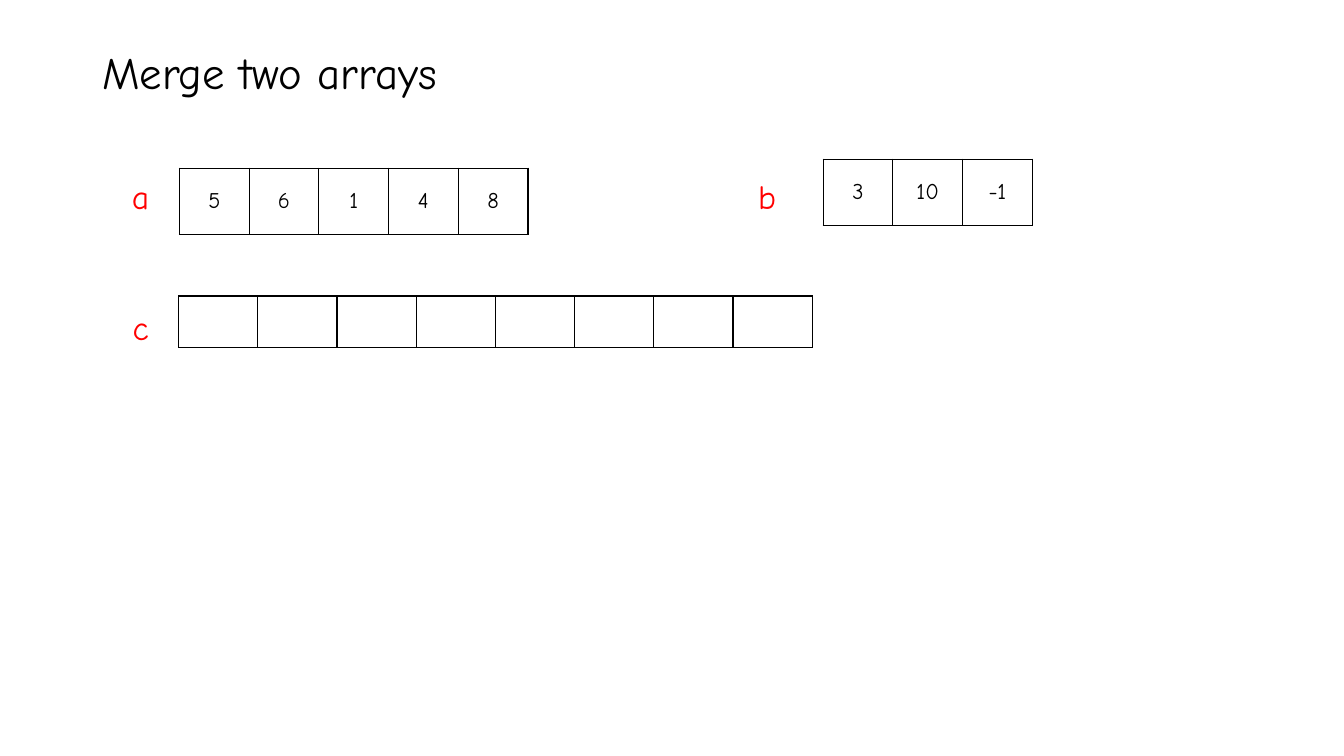
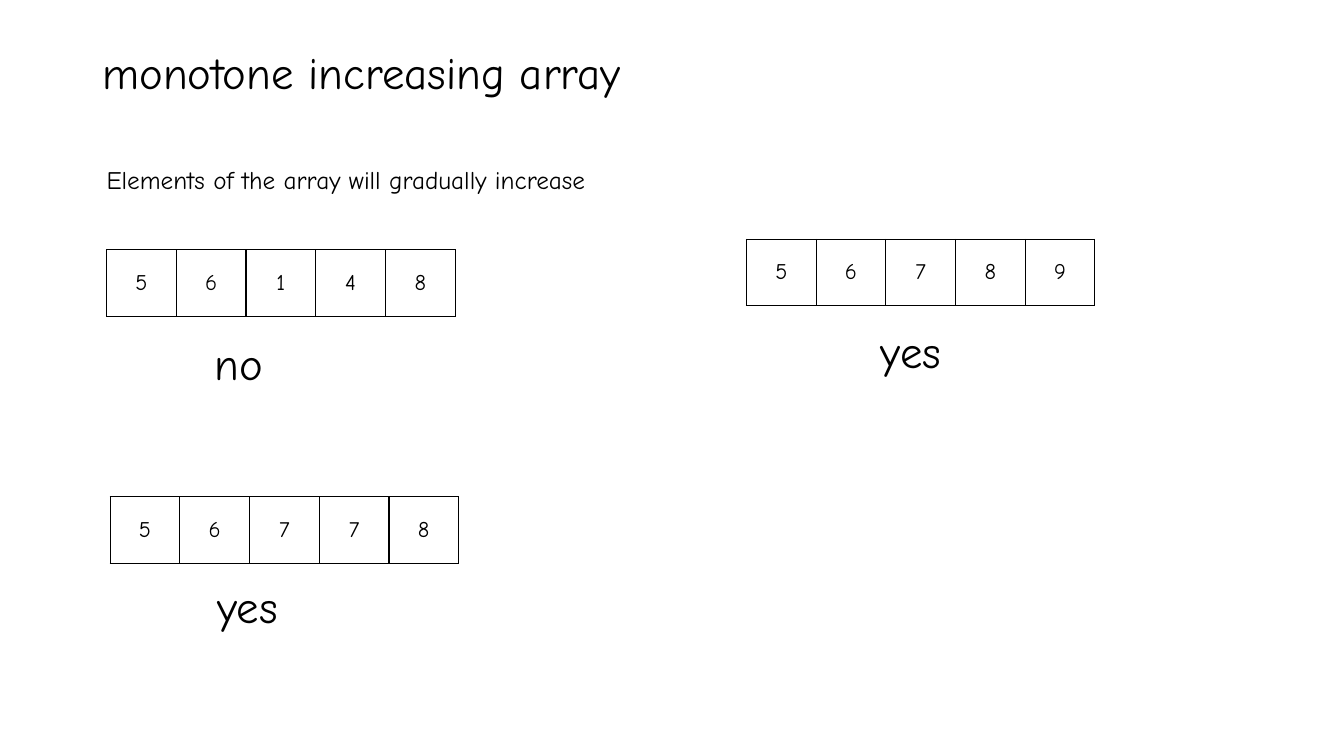
import dataclasses
import typing

import lxml.etree
import pptx
import pptx.dml.color
import pptx.enum.text
import pptx.oxml.ns
import pptx.slide
import pptx.table
import pptx.util

Pt = pptx.util.Pt
Color = pptx.dml.color.RGBColor
Anchor = pptx.enum.text.MSO_ANCHOR
Align = pptx.enum.text.PP_ALIGN


@dataclasses.dataclass(frozen=True)
class Theme:
    font: str = "Comic Neue"
    ink: Color = Color(0x00, 0x00, 0x00)
    accent: Color = Color(0xFF, 0x00, 0x00)
    title_size: float = 32
    name_size: float = 24
    body_size: float = 18
    cell_size: float = 16
    border_width: float = 1


THEME = Theme()


@dataclasses.dataclass(frozen=True)
class Label:
    text: str
    left: float
    top: float
    width: float
    height: float
    size: float = THEME.title_size
    color: Color = THEME.ink


@dataclasses.dataclass(frozen=True)
class Array:
    values: tuple[str, ...]
    left: float
    top: float
    cell_width: float = 49.8
    cell_height: float = 47.5


@dataclasses.dataclass(frozen=True)
class Content:
    title: str
    arrays: tuple[Array, ...]
    labels: tuple[Label, ...]


def array_name(text: str, left: float, top: float) -> Label:
    return Label(text, left, top, 38, 36, THEME.name_size, THEME.accent)


def verdict(text: str, left: float, top: float) -> Label:
    return Label(text, left, top, 106, 46)


# Slide contents
UNSORTED = ("5", "6", "1", "4", "8")

CONTENTS = (
    Content(
        "Merge two arrays",
        (
            Array(UNSORTED, 128.2, 120.2),
            Array(("3", "10", "-1"), 588, 113.8),
            Array(("",) * 8, 127.6, 211.5, 56.6, 37),
        ),
        (
            array_name("a", 87.2, 121.8),
            array_name("b", 534.4, 121.8),
            array_name("c", 87.6, 215.6),
        ),
    ),
    Content(
        "monotone increasing array",
        (
            Array(UNSORTED, 76.2, 178.4),
            Array(("5", "6", "7", "7", "8"), 78.7, 354.8),
            Array(("5", "6", "7", "8", "9"), 533.2, 171),
        ),
        (
            Label("Elements of the array will gradually increase",
                  69, 114, 464, 29, THEME.body_size),
            verdict("no", 146.4, 236.4),
            verdict("yes", 622, 228),
            verdict("yes", 148.2, 409.8),
        ),
    ),
)


# Drawing
def style_text(para: typing.Any, size: float, color: Color) -> None:
    for span in para.runs:
        span.font.name = THEME.font
        span.font.size = Pt(size)
        span.font.color.rgb = color


def draw_label(page: pptx.slide.Slide, label: Label,
               anchor: Anchor = Anchor.TOP, line_spacing: float = 1.0) -> None:
    box = page.shapes.add_textbox(
        Pt(label.left), Pt(label.top), Pt(label.width), Pt(label.height))
    frame = box.text_frame
    frame.word_wrap = True
    frame.vertical_anchor = anchor
    frame.text = label.text
    para = frame.paragraphs[0]
    para.line_spacing = line_spacing
    style_text(para, label.size, label.color)


def draw_title(page: pptx.slide.Slide, text: str) -> None:
    draw_label(page, Label(text, 66, 28.8, 828, 49.7), Anchor.MIDDLE, 0.9)


def outline_cell(cell: typing.Any) -> None:
    qn = pptx.oxml.ns.qn
    properties = cell._tc.get_or_add_tcPr()
    for index, side in enumerate(("a:lnL", "a:lnR", "a:lnT", "a:lnB")):
        line = lxml.etree.Element(qn(side), w=str(int(Pt(THEME.border_width))))
        fill = lxml.etree.SubElement(line, qn("a:solidFill"))
        lxml.etree.SubElement(fill, qn("a:srgbClr"), val=str(THEME.ink))
        properties.insert(index, line)


def draw_array(page: pptx.slide.Slide, array: Array) -> None:
    count = len(array.values)
    table = page.shapes.add_table(
        1, count, Pt(array.left), Pt(array.top),
        Pt(array.cell_width * count), Pt(array.cell_height)).table
    table.first_row = False
    table.horz_banding = False
    for column, value in enumerate(array.values):
        table.columns[column].width = Pt(array.cell_width)
        cell = table.cell(0, column)
        cell.fill.background()
        outline_cell(cell)
        cell.vertical_anchor = Anchor.MIDDLE
        cell.text_frame.text = value
        para = cell.text_frame.paragraphs[0]
        para.alignment = Align.CENTER
        style_text(para, THEME.cell_size, THEME.ink)


def main() -> None:
    deck = pptx.Presentation()
    deck.slide_width, deck.slide_height = Pt(960), Pt(540)
    for content in CONTENTS:
        page = deck.slides.add_slide(deck.slide_layouts[6])
        draw_title(page, content.title)
        for array in content.arrays:
            draw_array(page, array)
        for label in content.labels:
            draw_label(page, label)
    deck.save("out.pptx")


if __name__ == "__main__":
    main()
